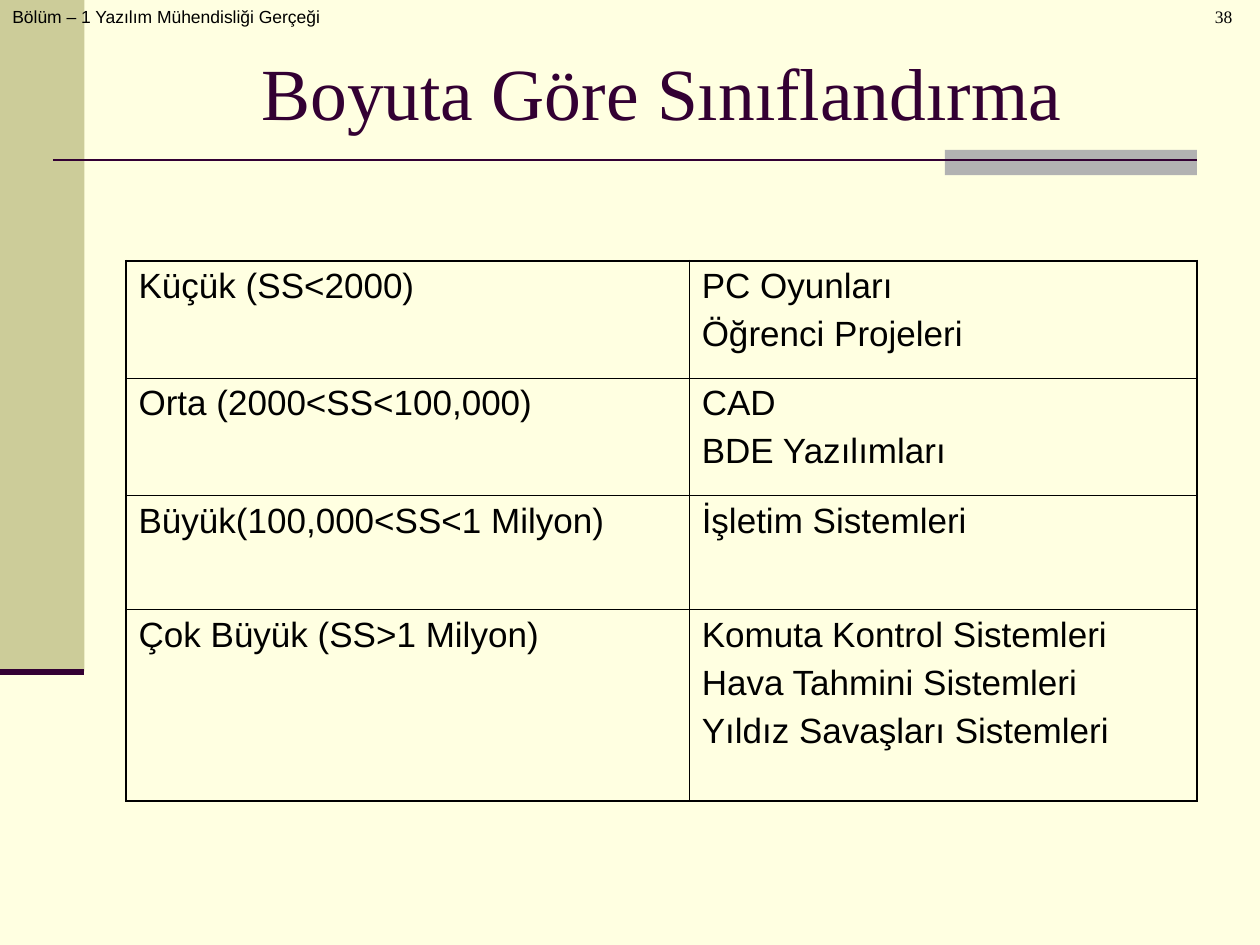
from pptx import Presentation
from pptx.dml.color import RGBColor
from pptx.enum.shapes import MSO_CONNECTOR, MSO_SHAPE
from pptx.enum.text import MSO_ANCHOR, PP_ALIGN
from pptx.oxml.ns import qn
from pptx.util import Inches, Pt
from lxml import etree

RECTANGLE = MSO_SHAPE.RECTANGLE
STRAIGHT = MSO_CONNECTOR.STRAIGHT
LEFT, CENTER = PP_ALIGN.LEFT, PP_ALIGN.CENTER
TOP, MIDDLE = MSO_ANCHOR.TOP, MSO_ANCHOR.MIDDLE

CHAPTER = "Bölüm – 1 Yazılım Mühendisliği Gerçeği"
TITLE = "Boyuta Göre Sınıflandırma"
PAGE = "38"
SIZE_CLASSES = [
    ("Küçük (SS<2000)", ["PC Oyunları", "Öğrenci Projeleri"]),
    ("Orta (2000<SS<100,000)", ["CAD", "BDE Yazılımları"]),
    ("Büyük(100,000<SS<1 Milyon)", ["İşletim Sistemleri"]),
    ("Çok Büyük (SS>1 Milyon)", [
        "Komuta Kontrol Sistemleri",
        "Hava Tahmini Sistemleri",
        "Yıldız Savaşları Sistemleri",
    ]),
]
COLUMN_WIDTHS = [4.47, 4.03]
ROW_HEIGHTS = [0.93, 0.93, 0.91, 1.52]

THEME = {
    "background": "FFFFE1", "band": "CCCC99", "accent": "B2B2B2",
    "rule": "330033", "ink": "000000",
    "sans": "Arial", "serif": "Times New Roman",
    "small": 10, "body": 20, "title": 42,
    "outer": 1.08, "inner": 0.45,
}


def rgb(name):
    return RGBColor.from_string(THEME[name])


def write(frame, lines, size="body", font="sans", color="ink", align=LEFT, gap=0):
    for index, line in enumerate(lines):
        paragraph = frame.paragraphs[0] if index == 0 else frame.add_paragraph()
        paragraph.alignment = align
        if index:
            paragraph.space_before = Pt(gap)
        run = paragraph.add_run()
        run.text = line
        run.font.size = Pt(THEME[size])
        run.font.name = THEME[font]
        run.font.color.rgb = rgb(color)


def add_text(slide, box, text, anchor=TOP, inset=0.1, **style):
    frame = slide.shapes.add_textbox(*map(Inches, box)).text_frame
    frame.word_wrap = True
    frame.vertical_anchor = anchor
    frame.margin_left = Inches(inset)
    write(frame, [text], **style)


def add_block(slide, box, color):
    block = slide.shapes.add_shape(RECTANGLE, *map(Inches, box))
    block.shadow.inherit = False
    block.fill.solid()
    block.fill.fore_color.rgb = rgb(color)
    block.line.fill.background()


def add_rule(slide, left, right, y, weight):
    rule = slide.shapes.add_connector(
        STRAIGHT, Inches(left), Inches(y), Inches(right), Inches(y))
    rule.line.color.rgb = rgb("rule")
    rule.line.width = Pt(weight)
    etree.SubElement(rule._element.spPr, qn("a:effectLst"))


def add_borders(cell, outer_sides):
    properties = cell._tc.get_or_add_tcPr()
    for side in "LRTB":
        weight = THEME["outer" if side in outer_sides else "inner"]
        border = etree.SubElement(properties, qn("a:ln" + side), w=str(int(Pt(weight))))
        fill = etree.SubElement(border, qn("a:solidFill"))
        etree.SubElement(fill, qn("a:srgbClr"), val=THEME["ink"])


def add_size_table(slide, left, top):
    table = slide.shapes.add_table(
        len(ROW_HEIGHTS), len(COLUMN_WIDTHS), Inches(left), Inches(top),
        Inches(sum(COLUMN_WIDTHS)), Inches(sum(ROW_HEIGHTS))).table
    table.first_row = False
    table.horz_banding = False
    for column, width in zip(table.columns, COLUMN_WIDTHS):
        column.width = Inches(width)
    last_row = len(SIZE_CLASSES) - 1
    for r, (size_class, examples) in enumerate(SIZE_CLASSES):
        table.rows[r].height = Inches(ROW_HEIGHTS[r])
        edge = {0: "T", last_row: "B"}.get(r, "")
        for c, lines in enumerate([[size_class], examples]):
            cell = table.cell(r, c)
            add_borders(cell, edge + "LR"[c])
            cell.fill.background()
            write(cell.text_frame, lines, gap=5)


def main():
    deck = Presentation()
    deck.slide_width, deck.slide_height = Inches(10), Inches(7.5)
    slide = deck.slides.add_slide(deck.slide_layouts[6])
    slide.background.fill.solid()
    slide.background.fill.fore_color.rgb = rgb("background")

    add_block(slide, (0, 0, 0.67, 5.33), "band")
    add_block(slide, (7.5, 1.19, 2, 0.2), "accent")
    add_rule(slide, 0.42, 9.5, 1.27, 1.5)
    add_rule(slide, 0, 0.67, 5.33, 3.5)
    add_text(slide, (0, 0, 3.27, 0.5), CHAPTER, size="small")
    add_text(slide, (1, 0.3, 8.5, 0.85), TITLE, anchor=MIDDLE,
             size="title", font="serif", color="rule", align=CENTER)
    add_size_table(slide, 1, 2.07)
    add_text(slide, (9.1, 0, 0.98, 0.5), PAGE, inset=0.34,
             size="small", font="serif", align=CENTER)
    deck.save("out.pptx")


if __name__ == "__main__":
    main()
